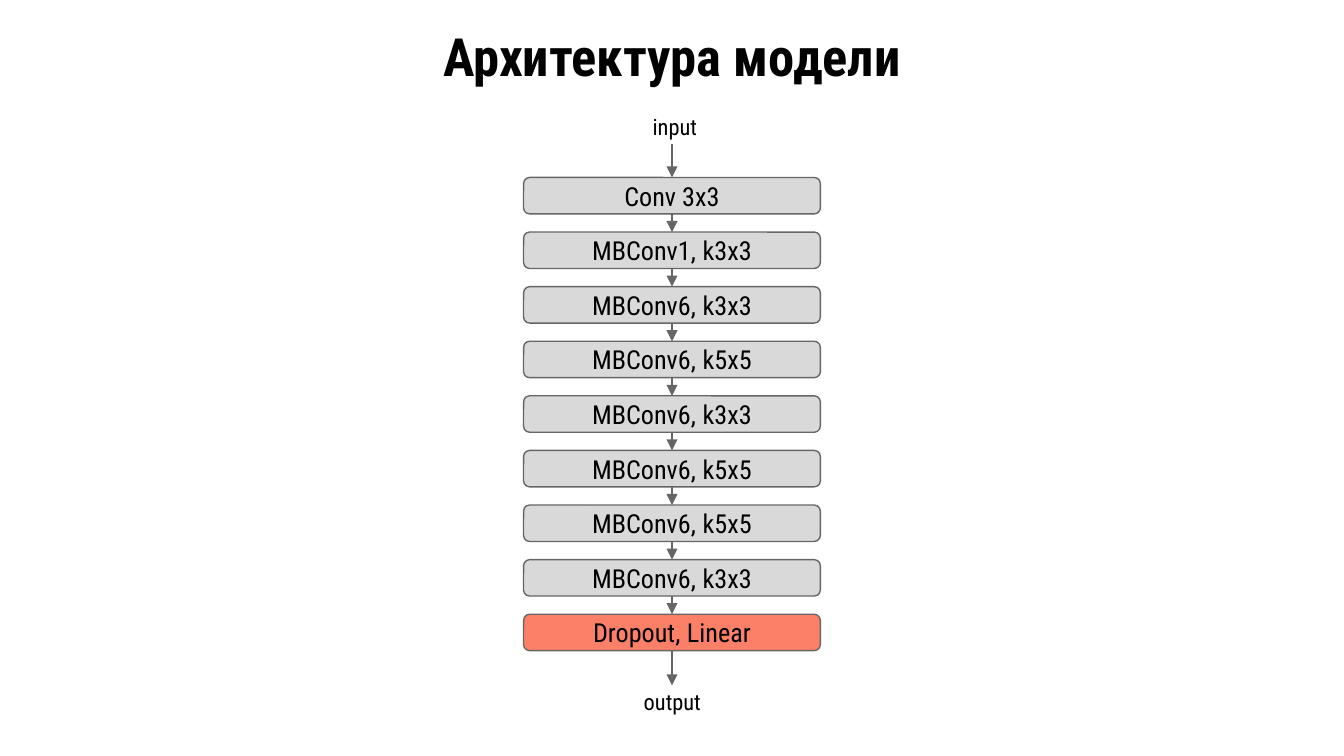
from lxml import etree
from pptx import Presentation
from pptx import util as u
from pptx.dml.color import RGBColor
from pptx.enum import shapes, text
from pptx.oxml import ns

COLORS = {"ink": "000000", "line": "666666", "layer": "D9D9D9", "head": "FC8068"}
CONDENSED, REGULAR = "Roboto Condensed", "Roboto"
LAYERS = ["Conv 3x3", "MBConv1, k3x3", "MBConv6, k3x3", "MBConv6, k5x5",
          "MBConv6, k3x3", "MBConv6, k5x5", "MBConv6, k5x5", "MBConv6, k3x3",
          "Dropout, Linear"]

SLIDE_W, SLIDE_H = 720, 405
CENTER = SLIDE_W / 2
LAYER_W, LAYER_H = 159, 19.5
FIRST_TOP, PITCH = 95.1, 29.25
TOP, BOTTOM = 0, 2  # connection sites of a layer


class Diagram:
    """Holds the style and the slide being drawn."""

    def __init__(self, slide):
        self.slide = slide

    def color(self, name):
        return RGBColor.from_string(COLORS[name])

    def style_text(self, frame, size, align, anchor, bold=False):
        frame.word_wrap = True
        frame.vertical_anchor = anchor
        frame.margin_left = frame.margin_right = u.Pt(7.2)
        frame.margin_top = frame.margin_bottom = u.Pt(7.2)
        paragraph = frame.paragraphs[0]
        paragraph.alignment = align
        paragraph.font.size = u.Pt(size)
        paragraph.font.bold = bold
        paragraph.font.color.rgb = self.color("ink")
        return paragraph

    def label(self, words, left, top, width, height, size=12, bold=False,
              align=text.PP_ALIGN.LEFT, anchor=text.MSO_ANCHOR.TOP):
        box = self.slide.shapes.add_textbox(*map(u.Pt, (left, top, width, height)))
        paragraph = self.style_text(box.text_frame, size, align, anchor, bold)
        paragraph.font.name = CONDENSED
        paragraph.add_run().text = words

    def layer(self, words, top, fill):
        box = self.slide.shapes.add_shape(
            shapes.MSO_SHAPE.ROUNDED_RECTANGLE, u.Pt(CENTER - LAYER_W / 2),
            u.Pt(top), u.Pt(LAYER_W), u.Pt(LAYER_H))
        box.shadow.inherit = False
        box.fill.solid()
        box.fill.fore_color.rgb = self.color(fill)
        box.line.color.rgb = self.color("line")
        box.line.width = u.Pt(0.75)
        paragraph = self.style_text(box.text_frame, 14, text.PP_ALIGN.CENTER,
                                    text.MSO_ANCHOR.MIDDLE)
        # The comma is set in the regular width
        for part in words.partition(", "):
            if part:
                run = paragraph.add_run()
                run.text = part
                run.font.name = REGULAR if part == ", " else CONDENSED
        return box

    def arrow(self, start, end, source=None, target=None):
        link = self.slide.shapes.add_connector(
            shapes.MSO_CONNECTOR.STRAIGHT, u.Pt(CENTER), u.Pt(start),
            u.Pt(CENTER), u.Pt(end))
        if source is not None:
            link.begin_connect(source, BOTTOM)
        if target is not None:
            link.end_connect(target, TOP)
        link.line.color.rgb = self.color("line")
        link.line.width = u.Pt(0.75)
        etree.SubElement(link.line._get_or_add_ln(), ns.qn("a:tailEnd"), type="triangle")
        etree.SubElement(link._element.spPr, ns.qn("a:effectLst"))


def main():
    deck = Presentation()
    deck.slide_width, deck.slide_height = u.Pt(SLIDE_W), u.Pt(SLIDE_H)
    diagram = Diagram(deck.slides.add_slide(deck.slide_layouts[6]))

    # Title
    diagram.label("Архитектура модели", 36, 15.1, 648, 29.5, size=28.2, bold=True,
                  align=text.PP_ALIGN.CENTER, anchor=text.MSO_ANCHOR.MIDDLE)

    # Stack of layers, the last one being the classifier head
    tops = [FIRST_TOP + i * PITCH for i in range(len(LAYERS))]
    fills = ["layer"] * (len(LAYERS) - 1) + ["head"]
    stack = [diagram.layer(*row) for row in zip(LAYERS, tops, fills)]

    # Input and output
    diagram.label("input", 342.5, 53.3, 49.7, 23.8)
    diagram.arrow(77.1, FIRST_TOP, target=stack[0])
    diagram.label("output", 337.8, 361.4, 90.7, 23.8)
    diagram.arrow(tops[-1] + LAYER_H, 367.2, source=stack[-1])

    # Arrows between neighbouring layers
    for i in range(len(stack) - 1):
        diagram.arrow(tops[i] + LAYER_H, tops[i + 1], stack[i], stack[i + 1])

    deck.save("out.pptx")


if __name__ == "__main__":
    main()
